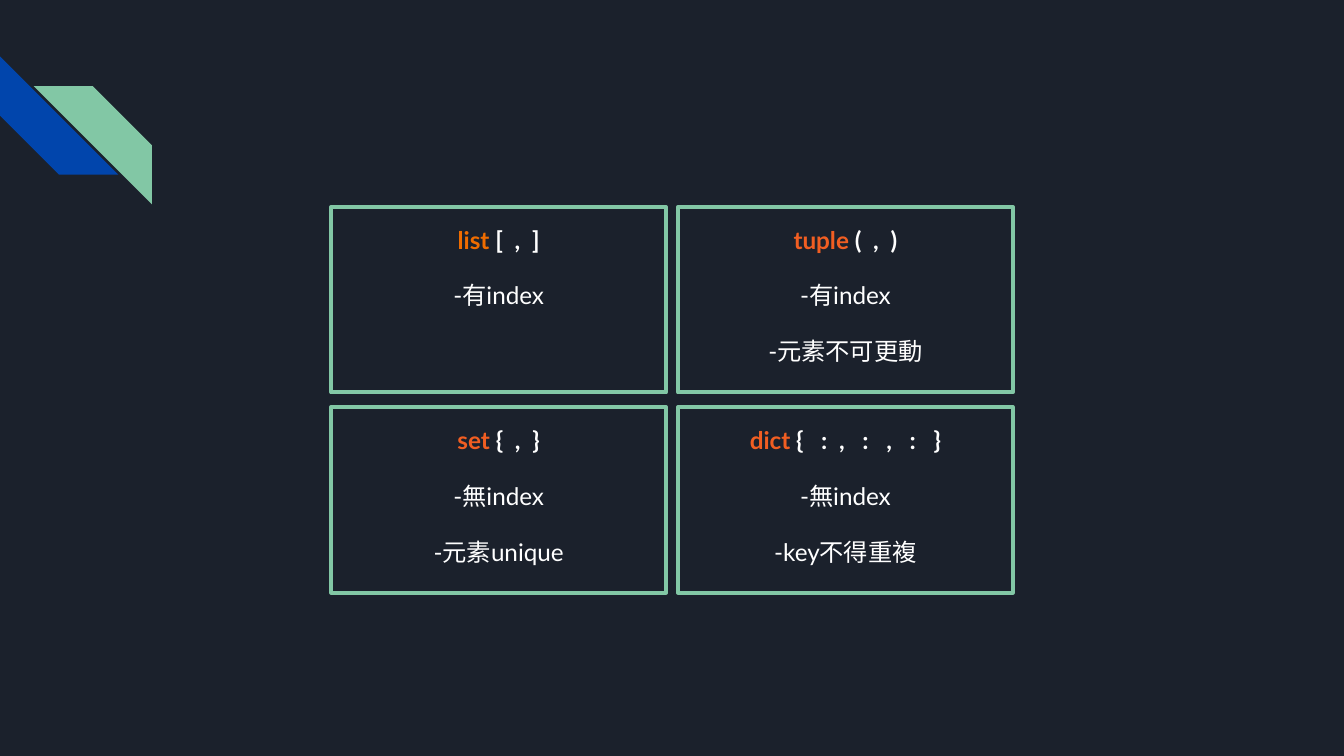
from pptx import Presentation
from pptx.dml.color import RGBColor
from pptx.enum.shapes import MSO_SHAPE as Form
from pptx.enum.text import MSO_ANCHOR as Anchor, PP_ALIGN as Align
from pptx.util import Inches, Pt

NAVY, BLUE, MINT = "1B212C", "0145AC", "82C7A5"
AMBER, CORAL, WHITE = "EF6C00", "F15E22", "FFFFFF"
WIDE = 10
HIGH = WIDE * 9 / 16


def color(code):
    return RGBColor.from_string(code)


def apply(item, form):
    for name, value in form.items():
        setattr(item, name, value)


class Deck:
    font = {"name": "Lato", "size": Pt(13)}
    line = {"alignment": Align.CENTER, "line_spacing": 1.15}
    frame = {"word_wrap": True, "vertical_anchor": Anchor.TOP}
    frame |= {f"margin_{side}": Inches(0.1)
              for side in ("left", "top", "right", "bottom")}

    def __init__(self):
        self.prs = Presentation()
        apply(self.prs, {"slide_width": Inches(WIDE),
                         "slide_height": Inches(HIGH)})
        self.slide = self.prs.slides.add_slide(self.prs.slide_layouts[6])
        back = self.slide.background.fill
        back.solid()
        back.fore_color.rgb = color(NAVY)

    def shape(self, form, *box):
        item = self.slide.shapes.add_shape(form, *map(Inches, box))
        item.shadow.inherit = False
        return item

    def stripe(self, left, top, size, turn, code):
        item = self.shape(Form.DIAGONAL_STRIPE, left, top, size, size)
        item.rotation = turn
        item.fill.solid()
        item.fill.fore_color.rgb = color(code)
        item.line.fill.background()

    def run(self, para, text, code, bold):
        run = para.add_run()
        run.text = text
        apply(run.font, self.font | {"bold": bold})
        run.font.color.rgb = color(code)

    def card(self, box, head, notes):
        item = self.shape(Form.RECTANGLE, *box)
        item.fill.background()
        item.line.color.rgb = color(MINT)
        item.line.width = Pt(2.25)
        frame = item.text_frame
        apply(frame, self.frame)

        # Heading: type name in accent, its brackets in white
        word, code, signs = head
        para = frame.paragraphs[0]
        apply(para, self.line)
        self.run(para, word, code, True)
        self.run(para, signs, WHITE, True)

        # Traits below, the second one with space after it
        for i, note in enumerate(notes):
            para = frame.add_paragraph()
            apply(para, self.line | {"space_before": Pt(12),
                                     "space_after": Pt(12 * i)})
            self.run(para, note, WHITE, False)

    def save(self):
        self.prs.save("out.pptx")


def main():
    deck = Deck()

    # Corner stripes
    deck.stripe(0, 0.42, 0.88, 270, BLUE)
    deck.stripe(0.25, 0.64, 0.88, 90, MINT)

    # Two by two grid of types, centred across the slide
    wide, high, top = 2.49, 1.38, 1.54
    step_x, step_y = 2.58, 1.49
    left = (WIDE - step_x - wide) / 2
    cards = [
        (("list", AMBER, " [  ,  ]"), ["-有index"]),
        (("tuple", CORAL, " (  ,  )"), ["-有index", "-元素不可更動"]),
        (("set ", CORAL, "{  ,  }"), ["-無index", "-元素unique"]),
        (("dict ", CORAL, "{   :  ,   :   ,   :   }"),
         ["-無index", "-key不得重複"]),
    ]
    for i, (head, notes) in enumerate(cards):
        row, col = divmod(i, 2)
        box = left + col * step_x, top + row * step_y, wide, high
        deck.card(box, head, notes)

    deck.save()


if __name__ == "__main__":
    main()
